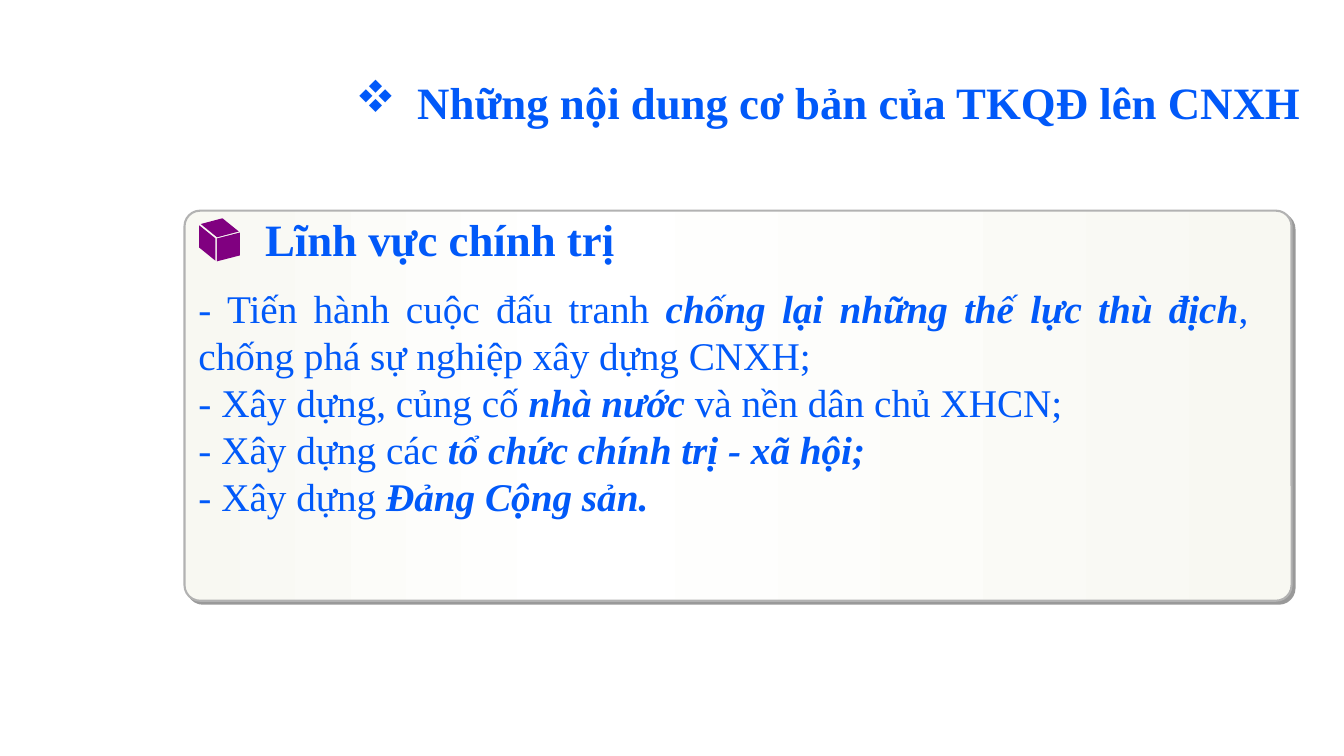
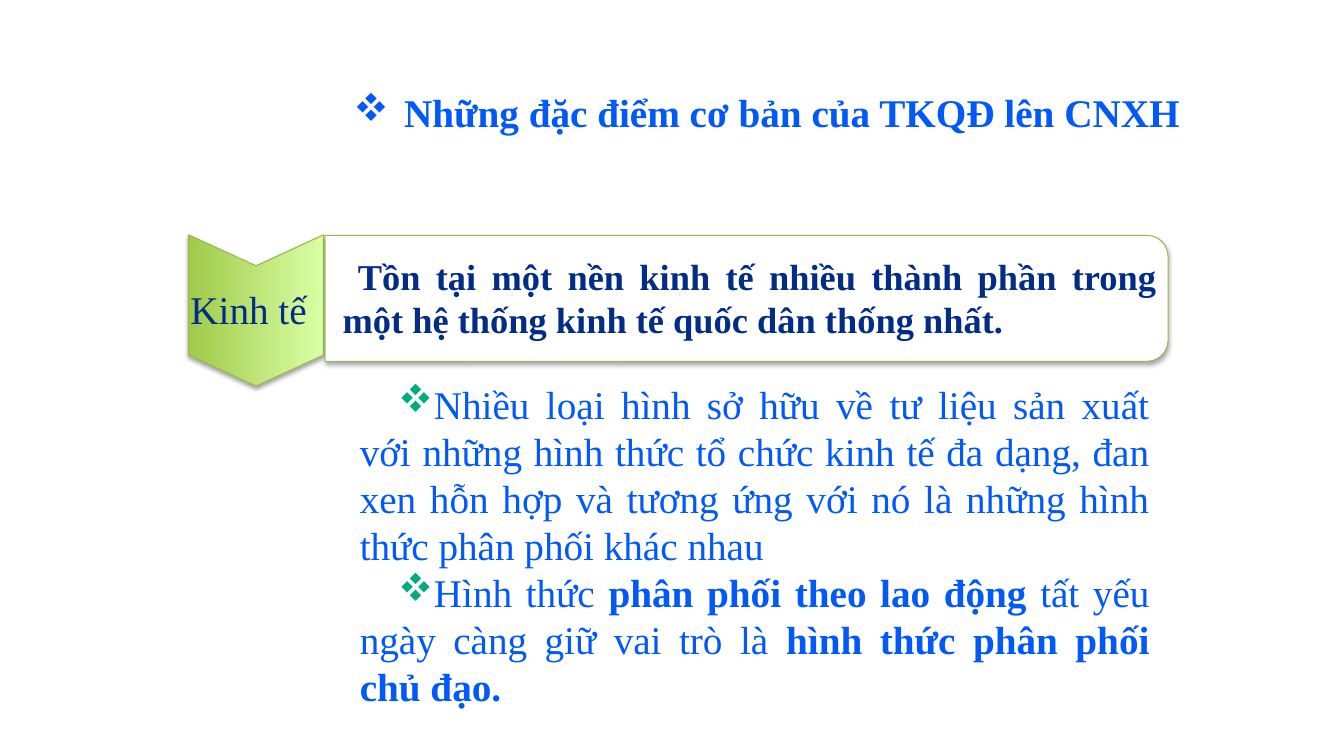
from lxml.etree import SubElement
from pptx import Presentation
from pptx.dml.color import RGBColor
from pptx.enum.shapes import MSO_SHAPE as Preset
from pptx.enum.text import MSO_AUTO_SIZE as AutoSize, PP_ALIGN as Align
from pptx.oxml.ns import qn
from pptx.util import Inches, Pt

BLUE = RGBColor(0x01, 0x59, 0xF9)
NAVY = RGBColor(0x01, 0x2D, 0x86)
TEAL = RGBColor(0x00, 0xAC, 0x7F)
PURPLE = RGBColor(0x80, 0x00, 0x80)
GRAY = RGBColor(0xB2, 0xB2, 0xB2)
OLIVE = RGBColor(0x98, 0xB9, 0x55)
GREEN = RGBColor(0xA0, 0xCA, 0x4A)
LIME = RGBColor(0xDA, 0xFF, 0xA5)
IVORY = RGBColor(0xF8, 0xF8, 0xF2)
WHITE = RGBColor(0xFF, 0xFF, 0xFF)
BLACK = RGBColor(0x00, 0x00, 0x00)

PLAIN = {}
BOLD = {"bold": True}
BOLD_ITALIC = {"bold": True, "italic": True}
HARD_SHADOW = {"alpha": 40, "blur": 0, "distance": 3, "angle": 45}
SOFT_SHADOW = {"alpha": 35, "blur": 3.1, "distance": 1.8, "angle": 90}


class Deck:
    font_name = "Times New Roman"
    bullet_font = "Wingdings"
    bullet = "v"

    def __init__(self):
        self.presentation = Presentation()
        self.presentation.slide_width = Inches(13.33)
        self.presentation.slide_height = Inches(7.5)
        self.slide = None

    def add_slide(self):
        layout = self.presentation.slide_layouts[6]
        self.slide = self.presentation.slides.add_slide(layout)

    def text(self, box, paragraphs, size=28, color=BLUE, align=Align.LEFT, wrap=True,
             margin=0, indent=0, bullet_color=None):
        frame = self.slide.shapes.add_textbox(*map(Inches, box)).text_frame
        frame.word_wrap = wrap
        frame.auto_size = AutoSize.SHAPE_TO_FIT_TEXT
        for index, runs in enumerate(paragraphs):
            paragraph = frame.add_paragraph() if index else frame.paragraphs[0]
            properties = paragraph._p.get_or_add_pPr()
            properties.set("marL", str(Inches(margin)))
            properties.set("indent", str(Inches(indent)))
            if bullet_color is not None:
                tint = SubElement(properties, qn("a:buClr"))
                SubElement(tint, qn("a:srgbClr"), val=str(bullet_color))
                SubElement(properties, qn("a:buFont"), typeface=self.bullet_font,
                           pitchFamily="2", charset="2")
                SubElement(properties, qn("a:buChar"), char=self.bullet)
            paragraph.alignment = align
            for words, style in runs:
                run = paragraph.add_run()
                run.text = words
                run.font.color.rgb = color
                formats = {"name": self.font_name, "size": Pt(size), **style}
                for name, value in formats.items():
                    setattr(run.font, name, value)

    def title(self, box, words, size, hanging):
        self.text(box, [[(words, BOLD)]], size, margin=hanging, indent=-hanging,
                  bullet_color=BLUE)

    def shape(self, preset, box, fill=None, rotation=0, adjustment=None, line=None,
              line_width=0.75, shadow=None):
        shape = self.slide.shapes.add_shape(preset, *map(Inches, box))
        shape.rotation = rotation
        if adjustment is not None:
            shape.adjustments[0] = adjustment
        if fill is not None:
            shape.fill.solid()
            shape.fill.fore_color.rgb = fill
        if line is None:
            shape.line.fill.background()
        else:
            shape.line.color.rgb = line
            shape.line.width = Pt(line_width)
        shape.shadow.inherit = False
        if shadow:
            self.cast_shadow(shape, **shadow)
        return shape

    def cast_shadow(self, shape, alpha, blur, distance, angle):
        effects = shape._element.spPr.find(qn("a:effectLst"))
        shadow = SubElement(effects, qn("a:outerShdw"), blurRad=str(Pt(blur)),
                            dist=str(Pt(distance)), dir=str(angle * 60000),
                            algn="ctr", rotWithShape="0")
        color = SubElement(shadow, qn("a:srgbClr"), val=str(BLACK))
        SubElement(color, qn("a:alpha"), val=str(alpha * 1000))

    def gradient(self, shape, stops, angle=0):
        shape.fill.gradient()
        properties = shape._element.spPr
        stop_list = properties.find(".//" + qn("a:gsLst"))
        for stop in list(stop_list):
            stop_list.remove(stop)
        for position, color in stops:
            stop = SubElement(stop_list, qn("a:gs"), pos=str(position * 1000))
            SubElement(stop, qn("a:srgbClr"), val=str(color))
        properties.find(".//" + qn("a:lin")).set("ang", str(angle * 60000))

    def cube(self):
        faces = [
            ((2.01, 2.17, 0.34, 0.18), 39, 0.73),
            ((2.12, 2.34, 0.29, 0.22), 345.6, 0.25),
            ((1.88, 2.33, 0.35, 0.16), 90, 0.81),
        ]
        for box, rotation, slant in faces:
            self.shape(Preset.PARALLELOGRAM, box, PURPLE, rotation, slant)


def build_politics(deck):
    deck.add_slide()
    panel = deck.shape(Preset.ROUNDED_RECTANGLE, (1.83, 2.09, 10.98, 3.87),
                       adjustment=0.04, line=GRAY, line_width=1.5, shadow=HARD_SHADOW)
    deck.gradient(panel, [(0, IVORY), (35, WHITE), (100, IVORY)])
    deck.text((1.87, 2.77, 10.61, 2.46), [
        [("- Tiến hành cuộc đấu tranh ", PLAIN),
         ("chống lại những thế lực thù địch", BOLD_ITALIC),
         (", chống phá sự nghiệp xây dựng CNXH;", PLAIN)],
        [("- Xây dựng, củng cố ", PLAIN), ("nhà nước", BOLD_ITALIC),
         (" và nền dân chủ XHCN;", PLAIN)],
        [("- Xây dựng các ", PLAIN), ("tổ chức chính trị - xã hội;", BOLD_ITALIC)],
        [("- Xây dựng ", PLAIN), ("Đảng Cộng sản.", BOLD_ITALIC)],
    ], align=Align.JUSTIFY)
    deck.text((2.53, 2.05, 3.99, 0.64), [[("Lĩnh vực chính trị", BOLD)]], 32, wrap=False)
    deck.cube()
    deck.title((3.43, 0.69, 9.71, 0.64), "Những nội dung cơ bản của TKQĐ lên CNXH", 32, 0.61)


def build_economy(deck):
    deck.add_slide()
    deck.title((3.41, 0.83, 9.33, 0.57), "Những đặc điểm cơ bản của TKQĐ lên CNXH", 28, 0.5)
    deck.text((3.47, 3.72, 8.03, 3.36), [
        [("Nhiều loại hình sở hữu về tư liệu sản xuất với những hình thức tổ chức kinh tế "
          "đa dạng, đan xen hỗn hợp và tương ứng với nó là những hình thức phân phối "
          "khác nhau", PLAIN)],
        [("Hình thức ", PLAIN), ("phân phối theo lao động ", BOLD),
         ("tất yếu ngày càng giữ vai trò là ", PLAIN),
         ("hình thức phân phối chủ đạo.", BOLD)],
    ], align=Align.JUSTIFY, indent=0.38, bullet_color=TEAL)
    chevron = deck.shape(Preset.CHEVRON, (1.79, 2.41, 1.5, 1.34), rotation=90,
                         adjustment=0.23, line=OLIVE, shadow=SOFT_SHADOW)
    deck.gradient(chevron, [(0, GREEN), (100, LIME)], 270)
    deck.shape(Preset.ROUND_2_SAME_RECTANGLE, (6.78, -1.22, 1.25, 8.36), WHITE, 90,
               line=OLIVE, shadow=SOFT_SHADOW)
    deck.text((3.3, 2.47, 8.28, 0.98), [
        [("Tồn tại một nền kinh tế nhiều thành phần trong một hệ thống kinh tế quốc dân "
          "thống nhất.", BOLD)],
    ], 26, NAVY, Align.JUSTIFY, indent=0.15)
    deck.text((1.79, 2.78, 1.36, 0.57), [[("Kinh tế", PLAIN)]], color=NAVY, wrap=False)


def main():
    deck = Deck()
    build_politics(deck)
    build_economy(deck)
    deck.presentation.save("out.pptx")


if __name__ == "__main__":
    main()
